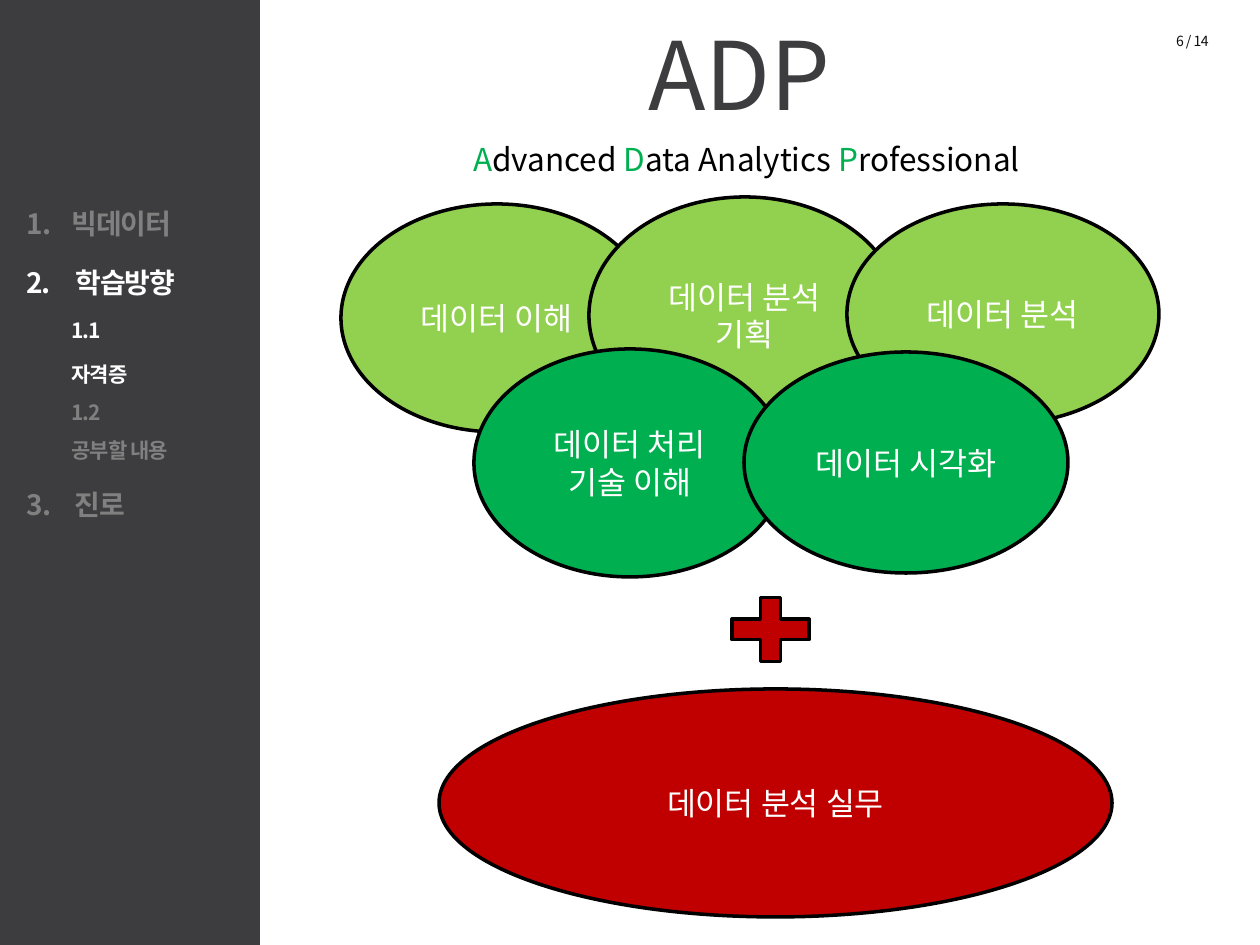
from dataclasses import dataclass
from typing import Optional

from pptx import Presentation
from pptx.dml.color import RGBColor
from pptx.enum.shapes import MSO_SHAPE
from pptx.enum.text import MSO_ANCHOR, PP_ALIGN
from pptx.oxml.ns import qn
from pptx.util import Pt

EMU_PER_PX = 914400 / 126
FONT = "Noto Sans CJK KR"
COLORS = {
    "dark": "3D3C3E", "gray": "808080", "white": "FFFFFF", "black": "000000",
    "ink": "0D0D0D", "lime": "92D050", "green": "00B050", "red": "C00000",
}


@dataclass(frozen=True)
class Box:
    x: int
    y: int
    w: int
    h: int


@dataclass(frozen=True)
class Subject:
    text: str
    box: Box
    color: str


@dataclass(frozen=True)
class MenuItem:
    text: str
    color: str
    size: int
    left: int
    hanging: bool = True
    number: Optional[int] = None
    spacing: float = 1.75


SUBJECTS = [
    Subject("데이터 이해", Box(341, 204, 312, 228), "lime"),
    Subject("데이터 분석 기획", Box(589, 197, 312, 237), "lime"),
    Subject("데이터 분석", Box(847, 204, 312, 220), "lime"),
    Subject("데이터 처리 기술 이해", Box(474, 349, 312, 228), "green"),
    Subject("데이터 시각화", Box(744, 352, 324, 221), "green"),
    Subject("데이터 분석 실무", Box(439, 689, 673, 228), "red"),
]
MENU = [
    MenuItem("빅데이터", "gray", 16, 45, number=1),
    MenuItem("2.\t학습방향", "white", 16, 49),
    MenuItem("1.1\v자격증", "white", 12, 45, hanging=False),
    MenuItem("1.2\v공부할 내용", "gray", 12, 45, hanging=False, spacing=1.5),
    MenuItem("진로", "gray", 16, 48, number=3),
]
SUBTITLE = [
    ("A", "green"), ("dvanced ", "black"), ("D", "green"),
    ("ata Analytics ", "black"), ("P", "green"), ("rofessional", "black"),
]


def px(n: int) -> int:
    return round(n * EMU_PER_PX)


def place(box: Box) -> tuple:
    return px(box.x), px(box.y), px(box.w), px(box.h)


def rgb(name: str) -> RGBColor:
    return RGBColor.from_string(COLORS[name])


def style_run(r, size: int, color: str, bold: bool = False, tracking: int = 0) -> None:
    """Format a run; tracking is in hundredths of a point."""
    r.font.size, r.font.bold, r.font.name = Pt(size), bold, FONT
    r.font.color.rgb = rgb(color)
    rpr = r.font._element
    ea = rpr.makeelement(qn("a:ea"), {"typeface": FONT})
    rpr.find(qn("a:latin")).addnext(ea)
    if tracking:
        rpr.set("spc", str(tracking))


def add_filled(s, kind, box: Box, fill: str, line: str = "black"):
    sp = s.shapes.add_shape(kind, *place(box))
    sp.shadow.inherit = False
    sp.fill.solid()
    sp.fill.fore_color.rgb = rgb(fill)
    sp.line.color.rgb = rgb(line)
    sp.line.width = Pt(2)
    return sp


def add_subject(s, subject: Subject) -> None:
    sp = add_filled(s, MSO_SHAPE.OVAL, subject.box, subject.color)
    tf = sp.text_frame
    tf.word_wrap = True
    tf.vertical_anchor = MSO_ANCHOR.MIDDLE
    tf.text = subject.text
    p = tf.paragraphs[0]
    p.alignment = PP_ALIGN.CENTER
    style_run(p.runs[0], 18, "white")


def add_line(s, box: Box, parts: list, size: int, align=PP_ALIGN.CENTER, tracking: int = 0):
    """Add one paragraph of coloured parts and return it."""
    tf = s.shapes.add_textbox(*place(box)).text_frame
    tf.word_wrap = True
    p = tf.paragraphs[0]
    p.alignment = align
    for text, color in parts:
        r = p.add_run()
        r.text = text
        style_run(r, size, color, tracking=tracking)
    return p


def add_menu(s, box: Box, items: list) -> None:
    tf = s.shapes.add_textbox(*place(box)).text_frame
    tf.word_wrap = True
    for i, item in enumerate(items):
        p = tf.add_paragraph() if i else tf.paragraphs[0]
        p.text = item.text
        p.line_spacing = item.spacing
        for r in p.runs:
            style_run(r, item.size, item.color, bold=True, tracking=-50)
        ppr = p._p.get_or_add_pPr()
        ppr.set("marL", str(px(item.left)))
        ppr.set("indent", str(-px(item.left) if item.hanging else 0))
        if item.number:
            attrs = {"type": "arabicPeriod", "startAt": str(item.number)}
            ppr.append(ppr.makeelement(qn("a:buAutoNum"), attrs))


def main() -> None:
    prs = Presentation()
    prs.slide_width, prs.slide_height = px(1260), px(945)
    s = prs.slides.add_slide(prs.slide_layouts[6])

    add_filled(s, MSO_SHAPE.RECTANGLE, Box(-11, 0, 269, 945), "dark", "dark")
    add_menu(s, Box(14, 175, 236, 650), MENU)

    title = add_line(s, Box(273, 10, 908, 165), [("ADP", "dark")], 54)
    title._p.get_or_add_pPr().set("indent", str(px(25)))
    add_line(s, Box(1003, 26, 218, 30), [("6 / 14", "ink")], 8, PP_ALIGN.RIGHT, -30)
    add_line(s, Box(328, 134, 837, 50), SUBTITLE, 18)

    for subject in SUBJECTS:
        add_subject(s, subject)
    add_filled(s, MSO_SHAPE.MATH_PLUS, Box(718, 586, 105, 87), "red")

    prs.save("out.pptx")


if __name__ == "__main__":
    main()
